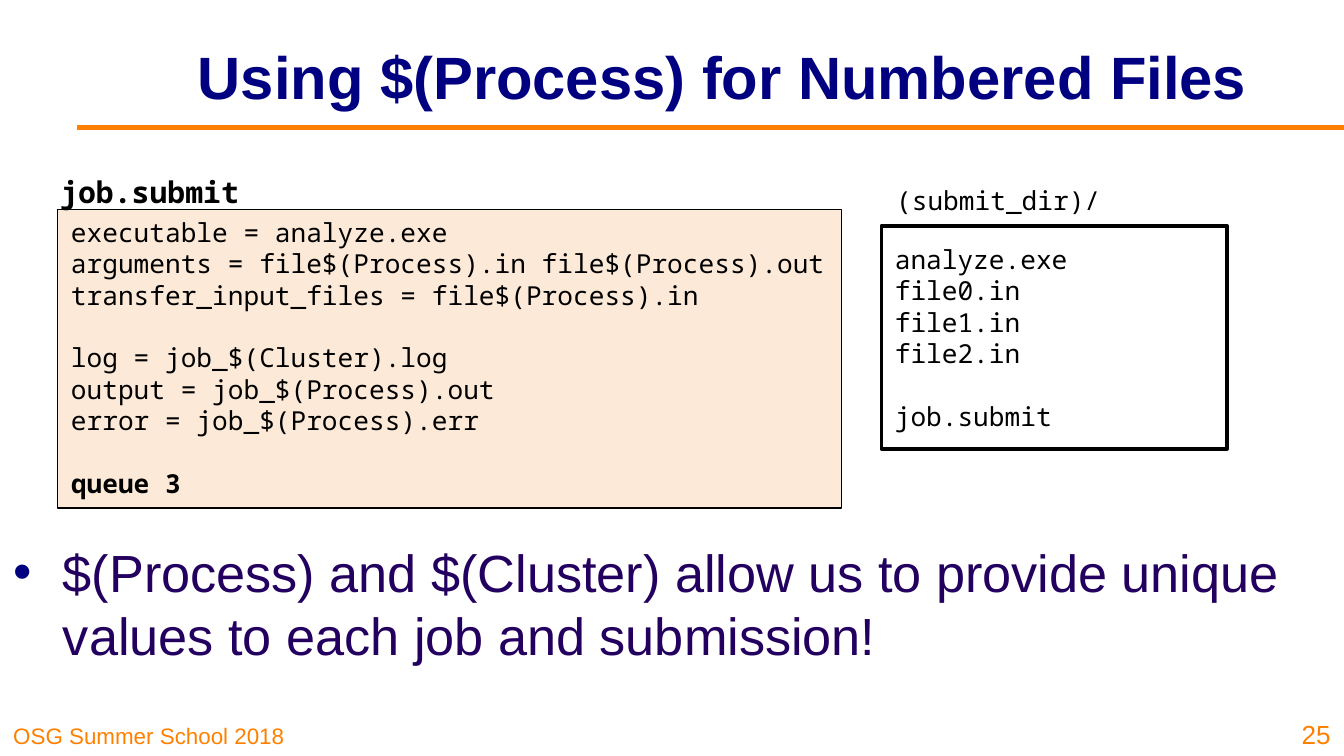
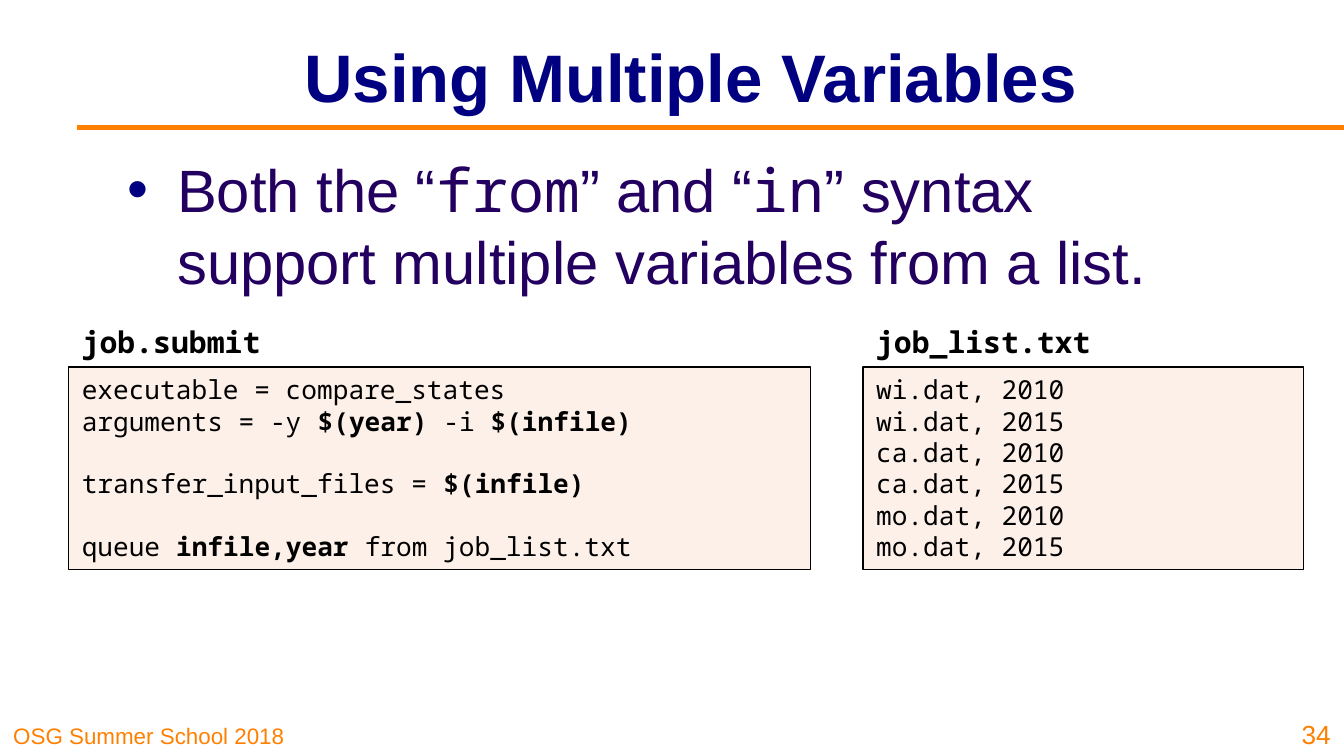
from dataclasses import dataclass

from lxml import etree
from pptx import Presentation
from pptx.dml.color import RGBColor
from pptx.enum.shapes import MSO_CONNECTOR, MSO_SHAPE
from pptx.enum.text import MSO_ANCHOR, PP_ALIGN
from pptx.oxml.ns import qn
from pptx.util import Inches, Pt

LINE = MSO_CONNECTOR.STRAIGHT
RECT = MSO_SHAPE.RECTANGLE
TOP, MID, LOW = MSO_ANCHOR.TOP, MSO_ANCHOR.MIDDLE, MSO_ANCHOR.BOTTOM
LEFT, CENTER, RIGHT = PP_ALIGN.LEFT, PP_ALIGN.CENTER, PP_ALIGN.RIGHT


@dataclass(frozen=True)
class Theme:
    """Colours, fonts and type sizes shared by the slides."""
    navy: str = "000080"
    orange: str = "FF8000"
    violet: str = "23005F"
    black: str = "000000"
    white: str = "FFFFFF"
    peach: str = "FCE9D7"
    blush: str = "FDF0E9"
    sans: str = "Arial"
    mono: str = "Noto Sans Mono"
    code: float = 14
    label: float = 16
    foot: float = 12
    page: float = 14
    gap: float = 16.8
    indent: float = 0.37


THEME = Theme()


def color(code):
    """Turn a hex string into a colour."""
    return RGBColor.from_string(code)


def add_run(para, text, size, font, ink, bold=False):
    """Add one styled run to a paragraph."""
    run = para.add_run()
    run.text = text
    run.font.size = Pt(size)
    run.font.name = font
    run.font.bold = bold
    run.font.color.rgb = color(ink)


def add_box(slide, at, anchor=TOP, wrap=True):
    """Add an empty text box and return its text frame."""
    frame = slide.shapes.add_textbox(*map(Inches, at)).text_frame
    frame.word_wrap = wrap
    frame.vertical_anchor = anchor
    return frame


def add_text(slide, at, text, size, font, ink, bold=False,
             align=LEFT, anchor=TOP, wrap=True):
    """Add a text box with a single run."""
    para = add_box(slide, at, anchor, wrap).paragraphs[0]
    para.alignment = align
    add_run(para, text, size, font, ink, bold)


def add_label(slide, at, text, size=THEME.label, bold=True):
    """Add a file name above a panel."""
    add_text(slide, at, text, size, THEME.mono, THEME.black, bold, wrap=False)


def add_panel(slide, at, groups, fill, width=0.75, anchor=TOP):
    """Add a panel of code; groups stand a line apart, bars enclose bold."""
    panel = slide.shapes.add_shape(RECT, *map(Inches, at))
    panel.shadow.inherit = False
    panel.fill.solid()
    panel.fill.fore_color.rgb = color(fill)
    panel.line.color.rgb = color(THEME.black)
    panel.line.width = Pt(width)
    frame = panel.text_frame
    frame.word_wrap = True
    frame.vertical_anchor = anchor
    for g, group in enumerate(groups):
        for n, line in enumerate(group.splitlines()):
            first = g == 0 and n == 0
            para = frame.paragraphs[0] if first else frame.add_paragraph()
            para.alignment = LEFT
            if g and n == 0:
                para.space_before = Pt(THEME.gap)
            for k, part in enumerate(line.split("|")):
                if part:
                    add_run(para, part, THEME.code, THEME.mono,
                            THEME.black, k % 2 == 1)


def add_bullet(slide, at, text, size):
    """Add a bulleted statement; bars enclose code words."""
    para = add_box(slide, at).paragraphs[0]
    props = para._p.get_or_add_pPr()
    props.set("marL", str(Inches(THEME.indent)))
    props.set("indent", str(-Inches(THEME.indent)))
    tint = etree.SubElement(props, qn("a:buClr"))
    etree.SubElement(tint, qn("a:srgbClr")).set("val", THEME.navy)
    etree.SubElement(props, qn("a:buFont")).set("typeface", THEME.sans)
    etree.SubElement(props, qn("a:buChar")).set("char", "•")
    for k, part in enumerate(text.split("|")):
        font = THEME.mono if k % 2 else THEME.sans
        add_run(para, part, size, font, THEME.violet)


def add_rule(slide):
    """Draw the line under the title."""
    ends = map(Inches, (0.57, 0.95, 10, 0.95))
    rule = slide.shapes.add_connector(LINE, *ends)
    rule.line.color.rgb = color(THEME.orange)
    rule.line.width = Pt(3)
    etree.SubElement(rule._element.spPr, qn("a:effectLst"))


def add_slide(deck, title, size, width, page):
    """Add a slide with its footer, rule, title and number."""
    slide = deck.slides.add_slide(deck.slide_layouts[6])
    add_text(slide, (0, 5.31, 2.48, 0.31), "OSG Summer School 2018",
             THEME.foot, THEME.sans, THEME.orange, anchor=LOW)
    add_rule(slide)
    add_text(slide, (1.34, 0.09, width, 0.94), title, size,
             THEME.sans, THEME.navy, True, CENTER, MID)
    add_text(slide, (9.54, 5.25, 0.46, 0.38), page, THEME.page,
             THEME.sans, THEME.orange, align=RIGHT, anchor=LOW)
    return slide


def add_files(deck):
    """Build the slide on numbered files."""
    slide = add_slide(deck, "Using $(Process) for Numbered Files ",
                      32, 8.2, "25")
    add_panel(slide, (0.43, 1.56, 5.83, 2.22), (
        "executable = analyze.exe\n"
        "arguments = file$(Process).in file$(Process).out\n"
        "transfer_input_files = file$(Process).in",
        "log = job_$(Cluster).log\n"
        "output = job_$(Process).out\n"
        "error = job_$(Process).err",
        "|queue 3|"), THEME.peach)
    add_label(slide, (0.35, 1.24, 1.55, 0.37), "job.submit")
    add_panel(slide, (6.56, 1.68, 2.57, 1.66), (
        "analyze.exe\nfile0.in\nfile1.in\nfile2.in",
        "job.submit"), THEME.white, 2, MID)
    add_label(slide, (6.57, 1.32, 2.17, 0.33), "(submit_dir)/",
              THEME.code, False)
    add_bullet(slide, (0, 3.97, 10, 1.21),
               "$(Process) and $(Cluster) allow us to provide unique "
               "values to each job and submission!", 28)


def add_vars(deck):
    """Build the slide on multiple variables."""
    slide = add_slide(deck, "Using Multiple Variables", 36, 7.6, "34")
    add_bullet(slide, (0.85, 1.09, 8.5, 3.84),
               "Both the “|from|” and “|in|” syntax support multiple "
               "variables from a list.", 32)
    rows = [f"{state}.dat, {year}" for state in ("wi", "ca", "mo")
            for year in (2010, 2015)]
    job = ("executable = compare_states\n"
           "arguments = -y |$(year) |-i |$(infile)|",
           "transfer_input_files = |$(infile)|",
           "queue |infile,year |from job_list.txt")
    for name, left, width, span, code in (
            ("job.submit", 0.51, 5.52, 1.55, job),
            ("job_list.txt", 6.42, 3.28, 1.82, ("\n".join(rows),))):
        add_panel(slide, (left, 2.73, width, 1.51), code, THEME.blush)
        add_label(slide, (left, 2.36, span, 0.37), name)


def main():
    """Build and save the deck."""
    deck = Presentation()
    deck.slide_width = Inches(10)
    deck.slide_height = deck.slide_width * 9 // 16
    add_files(deck)
    add_vars(deck)
    deck.save("out.pptx")


if __name__ == "__main__":
    main()
